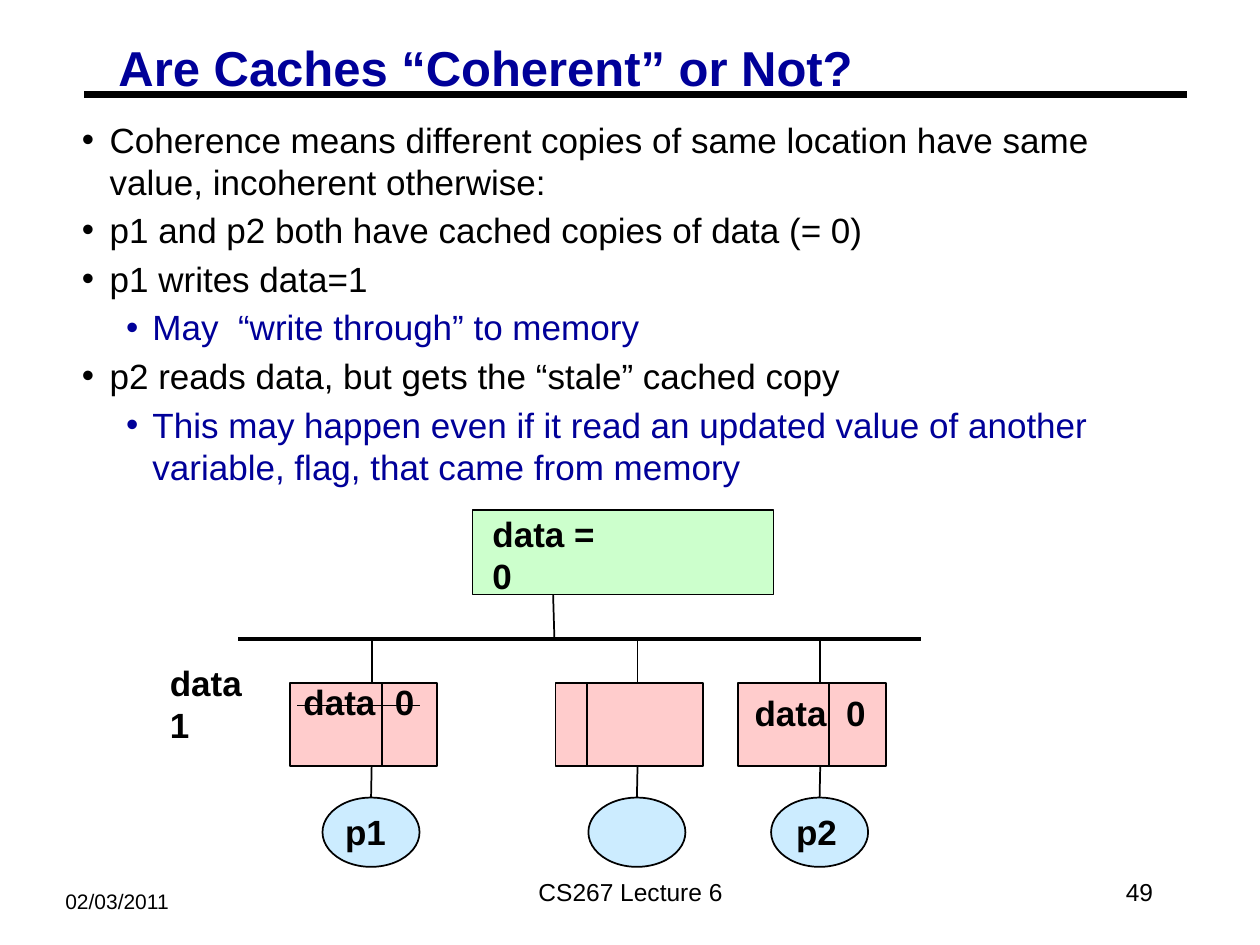
from lxml import etree
from pptx import Presentation
from pptx import util as u
from pptx.dml.color import RGBColor
from pptx.enum import shapes, text
from pptx.oxml.ns import qn

BLACK = RGBColor(0x00, 0x00, 0x00)
NAVY = RGBColor(0x00, 0x00, 0x99)
GREEN = RGBColor(0xCC, 0xFF, 0xCC)
PINK = RGBColor(0xFF, 0xCC, 0xCC)
SKY = RGBColor(0xCC, 0xEC, 0xFF)

FONT = "Arial"
BUS_Y = 5.07
CACHE_TOP = 5.42
CACHE_HEIGHT = 0.66
NODES = [(2.3, 0.73), (4.41, 0.25), (5.86, 0.72)]
BULLETS = [
    (0, "Coherence means different copies of same location have same value, incoherent otherwise:"),
    (0, "p1 and p2 both have cached copies of data (= 0)"),
    (0, "p1 writes data=1"),
    (1, "May  “write through” to memory"),
    (0, "p2 reads data, but gets the “stale” cached copy"),
    (1, "This may happen even if it read an updated value of another variable, flag, that came from memory"),
]
LABELS = [
    ("data  0", 2.31, 5.35, 1.08),
    ("data  0", 5.89, 5.44, 1.08),
    ("data = 0", 3.81, 4.02, 1.24),
    ("p1", 2.64, 6.38, 0.58),
    ("p2", 6.22, 6.38, 0.58),
    ("data 1", 1.25, 5.2, 1),
]


def style_font(paragraph, size, color=BLACK, bold=False):
    """Set the font of a whole paragraph."""
    font = paragraph.font
    font.name = FONT
    font.size = u.Pt(size)
    font.bold = bold
    font.color.rgb = color


def set_frame(frame, horizontal, vertical, anchor=text.MSO_ANCHOR.TOP, wrap=True):
    """Set margins, anchor and wrapping of a text frame."""
    frame.margin_left = frame.margin_right = u.Inches(horizontal)
    frame.margin_top = frame.margin_bottom = u.Inches(vertical)
    frame.vertical_anchor = anchor
    frame.word_wrap = wrap


def add_title(slide, wording):
    """Place and format the title placeholder."""
    title = slide.shapes.title
    title.left, title.top = u.Inches(0.87), u.Inches(0.33)
    title.width, title.height = u.Inches(8.85), u.Inches(0.46)
    frame = title.text_frame
    set_frame(frame, 0.07, 0.03)
    frame.auto_size = text.MSO_AUTO_SIZE.NONE
    frame.text = wording
    paragraph = frame.paragraphs[0]
    paragraph.alignment = text.PP_ALIGN.LEFT
    paragraph.line_spacing = 0.87
    style_font(paragraph, 28, NAVY, True)


def add_label(slide, wording, left, top, width, height=0.44, size=20, bold=True,
              align=text.PP_ALIGN.LEFT, anchor=text.MSO_ANCHOR.TOP, wrap=False):
    """Add a one-line text box."""
    box = slide.shapes.add_textbox(*map(u.Inches, (left, top, width, height)))
    set_frame(box.text_frame, 0.1, 0.05, anchor, wrap)
    paragraph = box.text_frame.paragraphs[0]
    paragraph.text = wording
    paragraph.alignment = align
    style_font(paragraph, size, bold=bold)


def add_bullets(slide):
    """Add the two-level bulleted list."""
    box = slide.shapes.add_textbox(*map(u.Inches, (0.58, 0.91, 8.75, 2.98)))
    frame = box.text_frame
    set_frame(frame, 0.07, 0.03)
    for index, (level, wording) in enumerate(BULLETS):
        paragraph = frame.add_paragraph() if index else frame.paragraphs[0]
        paragraph.text = wording
        paragraph.level = level
        if index:
            paragraph.space_before = u.Pt(3.7)
        margin, hanging = ((0.22, 0.22), (0.56, 0.21))[level]
        properties = paragraph._p.get_or_add_pPr()
        properties.set("marL", str(u.Inches(margin)))
        properties.set("indent", str(-u.Inches(hanging)))
        etree.SubElement(properties, qn("a:buFont")).set("typeface", FONT)
        etree.SubElement(properties, qn("a:buChar")).set("char", "•")
        style_font(paragraph, 20, (BLACK, NAVY)[level])


def add_block(slide, kind, fill, left, top, width, height):
    """Add a filled, outlined preset shape."""
    shape = slide.shapes.add_shape(kind, *map(u.Inches, (left, top, width, height)))
    shape.shadow.inherit = False
    shape.fill.solid()
    shape.fill.fore_color.rgb = fill
    shape.line.color.rgb = BLACK
    shape.line.width = u.Pt(1)
    return shape


def add_line(slide, x1, y1, x2, y2, weight=1):
    """Add a straight black connector."""
    line = slide.shapes.add_connector(
        shapes.MSO_CONNECTOR.STRAIGHT, *map(u.Inches, (x1, y1, x2, y2)))
    line.line.color.rgb = BLACK
    line.line.width = u.Pt(weight)
    etree.SubElement(line._element.spPr, qn("a:effectLst"))
    return line


def add_node(slide, left, divider):
    """Add a processor with its cache and its link to the bus."""
    processor = add_block(slide, shapes.MSO_SHAPE.OVAL, SKY, left + 0.26, 6.33, 0.77, 0.55)
    add_block(slide, shapes.MSO_SHAPE.RECTANGLE, PINK, left, CACHE_TOP, 1.17, CACHE_HEIGHT)
    center = left + 0.65
    cache_bottom = CACHE_TOP + CACHE_HEIGHT
    add_line(slide, center, 6.33, center, cache_bottom).begin_connect(processor, 0)
    add_line(slide, center, CACHE_TOP, center, BUS_Y)
    add_line(slide, left + divider, CACHE_TOP, left + divider, cache_bottom)


def add_diagram(slide):
    """Draw memory, bus, caches, processors and their labels."""
    add_line(slide, 1.89, BUS_Y, 7.31, BUS_Y, 2)
    add_block(slide, shapes.MSO_SHAPE.RECTANGLE, GREEN, 3.75, 4.05, 2.39, 0.67)
    add_line(slide, 4.4, BUS_Y, 4.39, 4.72)
    for left, divider in NODES:
        add_node(slide, left, divider)
    for label in LABELS:
        add_label(slide, *label)
    add_line(slide, 2.36, 5.6, 3.33, 5.6)


def add_footer(slide):
    """Add date, lecture name and page number."""
    middle = text.MSO_ANCHOR.MIDDLE
    add_label(slide, "02/03/2011", 0.42, 7, 1.92, 0.3, 12, False, wrap=True)
    add_label(slide, "CS267 Lecture 6", 3.42, 6.83, 3.17, 0.5, 14, False,
              text.PP_ALIGN.CENTER, middle, True)
    add_label(slide, "49", 7.17, 6.83, 2.08, 0.5, 14, False,
              text.PP_ALIGN.RIGHT, middle, True)


def main():
    """Build and save the slide."""
    presentation = Presentation()
    presentation.slide_width = u.Inches(10)
    presentation.slide_height = u.Inches(7.5)
    slide = presentation.slides.add_slide(presentation.slide_layouts[5])
    add_line(slide, 0.67, 0.75, 9.42, 0.75, 3.75)
    add_footer(slide)
    add_title(slide, "Are Caches “Coherent” or Not?")
    add_bullets(slide)
    add_diagram(slide)
    presentation.save("out.pptx")


if __name__ == "__main__":
    main()
